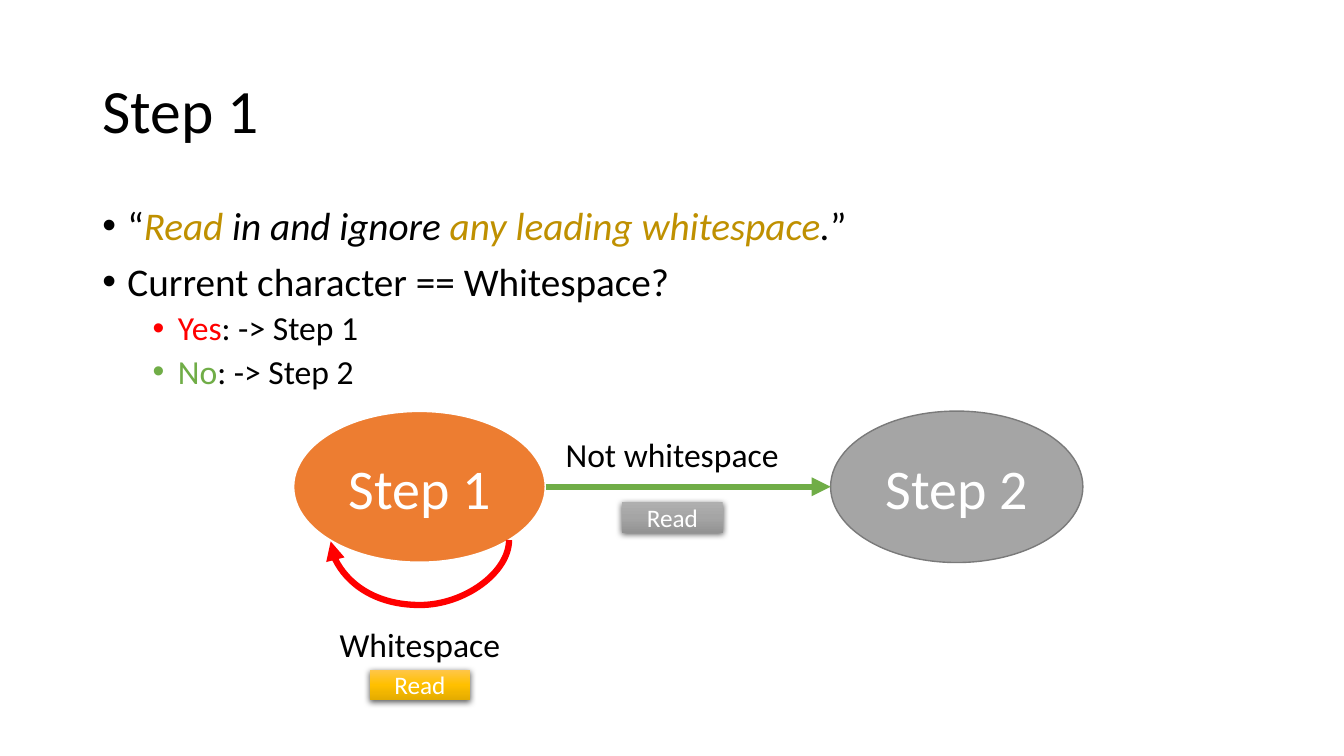
from copy import deepcopy

from pptx import Presentation
from pptx.dml.color import RGBColor
from pptx.enum.shapes import MSO_CONNECTOR, MSO_SHAPE
from pptx.enum.text import MSO_ANCHOR, MSO_AUTO_SIZE, PP_ALIGN
from pptx.oxml.ns import qn
from pptx.oxml.xmlchemy import OxmlElement
from pptx.util import Pt

BLACK = RGBColor(0x00, 0x00, 0x00)
WHITE = RGBColor(0xFF, 0xFF, 0xFF)
RED = RGBColor(0xFF, 0x00, 0x00)
GREEN = RGBColor(0x70, 0xAD, 0x47)
GOLD = RGBColor(0xBF, 0x90, 0x00)
ORANGE = RGBColor(0xED, 0x7D, 0x31)
GRAY = RGBColor(0xA5, 0xA5, 0xA5)
DARK_GRAY = RGBColor(0x7A, 0x7A, 0x7A)
YELLOW_STOPS = [RGBColor(0xFF, 0xC6, 0x4B), RGBColor(0xFF, 0xC0, 0x00), RGBColor(0xE3, 0xAB, 0x00)]
GRAY_STOPS = [RGBColor(0xAF, 0xAF, 0xAF), GRAY, RGBColor(0x93, 0x93, 0x93)]

TITLE = "Step 1"
BULLETS = [
    (0, [("“", BLACK, False), ("Read", GOLD, True), (" in and ignore ", BLACK, True),
         ("any leading whitespace", GOLD, True), (".", BLACK, True), ("”", BLACK, False)]),
    (0, [("Current character == Whitespace?", BLACK, False)]),
    (1, [("Yes", RED, False), (": -> Step 1", BLACK, False)]),
    (1, [("No", GREEN, False), (": -> Step 2", BLACK, False)]),
]
LEVELS = [
    {"size": 28, "margin": 18, "space": 10},
    {"size": 24, "margin": 54, "space": 5},
]
STATES = [
    ("Step 1", 209.5, ORANGE, WHITE, 1.5),
    ("Step 2", 593.3, GRAY, DARK_GRAY, 1),
]
STATE_TOP, STATE_WIDTH, STATE_HEIGHT = 293.6, 180.2, 108.2
LABELS = [
    ("Whitespace", 234.8, 442, 130.2),
    ("Not whitespace", 396, 306.2, 168.2),
]
LABEL_HEIGHT = 36
BUTTONS = [
    ("Read", 264, 478.3, YELLOW_STOPS),
    ("Read", 444.3, 358.6, GRAY_STOPS),
]
BUTTON_WIDTH, BUTTON_HEIGHT = 72, 21.8
LOOP_CENTER = (299.9, 386.2)
LOOP_SPAN, LOOP_DEPTH = 127.4, 46.8


def place(shape, left, top, width, height):
    for name, value in {"left": left, "top": top, "width": width, "height": height}.items():
        setattr(shape, name, Pt(value))


def add_run(paragraph, text, size, color, italic=False):
    run = paragraph.add_run()
    run.text = text
    run.font.color.rgb = color
    for name, value in {"name": "Calibri", "size": Pt(size), "italic": italic}.items():
        setattr(run.font, name, value)


def write_centered(shape, text, size, color, wrap=True):
    frame = shape.text_frame
    frame.word_wrap = wrap
    frame.vertical_anchor = MSO_ANCHOR.MIDDLE
    paragraph = frame.paragraphs[0]
    paragraph.alignment = PP_ALIGN.CENTER
    add_run(paragraph, text, size, color)


def add_element(parent, tag, **attributes):
    element = OxmlElement(tag)
    for name, value in attributes.items():
        element.set(name, str(value))
    parent.append(element)
    return element


def add_arrow(slide, kind, begin, end, color):
    arrow = slide.shapes.add_connector(kind, *[Pt(value) for value in (*begin, *end)])
    arrow.line.color.rgb = color
    arrow.line.width = Pt(4.5)
    add_element(arrow.line._get_or_add_ln(), "a:tailEnd", type="triangle")
    add_element(arrow._element.spPr, "a:effectLst")
    return arrow


def add_title(slide):
    title = slide.shapes.title
    place(title, 66, 28.8, 828, 104.4)
    frame = title.text_frame
    for name, value in {"auto_size": MSO_AUTO_SIZE.NONE, "word_wrap": True,
                        "vertical_anchor": MSO_ANCHOR.MIDDLE}.items():
        setattr(frame, name, value)
    paragraph = frame.paragraphs[0]
    paragraph.alignment = PP_ALIGN.LEFT
    paragraph.line_spacing = 0.9
    add_run(paragraph, TITLE, 44, BLACK)


def add_bullets(slide):
    body = slide.shapes.add_textbox(Pt(66), Pt(143.8), Pt(828), Pt(342.6))
    frame = body.text_frame
    frame.word_wrap = True
    for index, (depth, runs) in enumerate(BULLETS):
        level = LEVELS[depth]
        paragraph = frame.add_paragraph() if index else frame.paragraphs[0]
        properties = paragraph._p.get_or_add_pPr()
        properties.set("marL", str(Pt(level["margin"])))
        properties.set("indent", str(Pt(-18)))
        add_element(properties, "a:buFont", typeface="Arial")
        add_element(properties, "a:buChar", char="•")
        for name, value in {"level": depth, "line_spacing": 0.9,
                            "space_before": Pt(level["space"] if index else 0)}.items():
            setattr(paragraph, name, value)
        for text, color, italic in runs:
            add_run(paragraph, text, level["size"], color, italic)


def add_state(slide, text, left, fill, outline, outline_width):
    state = slide.shapes.add_shape(MSO_SHAPE.OVAL, 0, 0, 0, 0)
    place(state, left, STATE_TOP, STATE_WIDTH, STATE_HEIGHT)
    state.shadow.inherit = False
    state.fill.solid()
    state.fill.fore_color.rgb = fill
    state.line.color.rgb = outline
    state.line.width = Pt(outline_width)
    write_centered(state, text, 40, WHITE)


def add_button(slide, text, left, top, colors):
    button = slide.shapes.add_shape(MSO_SHAPE.RECTANGLE, 0, 0, 0, 0)
    place(button, left, top, BUTTON_WIDTH, BUTTON_HEIGHT)
    button.line.fill.background()
    button.fill.gradient()
    button.fill.gradient_angle = 270
    properties = button._element.spPr
    stop_list = properties.find(".//" + qn("a:gsLst"))
    stop_list.insert(1, deepcopy(stop_list[0]))
    for stop, color, position in zip(button.fill.gradient_stops, colors, (0, 0.5, 1)):
        stop.color.rgb = color
        stop.position = position
    button.shadow.inherit = False
    shadow = add_element(properties.find(qn("a:effectLst")), "a:outerShdw", blurRad=Pt(4.5),
                         dist=Pt(1.5), dir=5400000, algn="ctr", rotWithShape=0)
    shadow_color = add_element(shadow, "a:srgbClr", val=BLACK)
    add_element(shadow_color, "a:alpha", val=63000)
    write_centered(button, text, 18, WHITE)


def add_loop(slide):
    center_x, center_y = LOOP_CENTER
    begin = (center_x - 0.5, center_y - LOOP_SPAN / 2)
    end = (center_x + 0.5, center_y + LOOP_SPAN / 2)
    loop = add_arrow(slide, MSO_CONNECTOR.CURVE, begin, end, RED)
    properties = loop._element.spPr
    properties.find(qn("a:xfrm")).set("rot", "5400000")
    adjustments = properties.find(qn("a:prstGeom")).find(qn("a:avLst"))
    add_element(adjustments, "a:gd", name="adj1", fmla=f"val {round(LOOP_DEPTH * 100000)}")


def main():
    presentation = Presentation()
    presentation.slide_width = Pt(960)
    presentation.slide_height = Pt(540)
    slide = presentation.slides.add_slide(presentation.slide_layouts[5])
    add_title(slide)
    add_bullets(slide)
    for state in STATES:
        add_state(slide, *state)
    add_loop(slide)
    middle = STATE_TOP + STATE_HEIGHT / 2
    first_left, second_left = [state[1] for state in STATES]
    add_arrow(slide, MSO_CONNECTOR.STRAIGHT, (first_left + STATE_WIDTH, middle),
              (second_left, middle), GREEN)
    for text, left, top, width in LABELS:
        label = slide.shapes.add_textbox(Pt(left), Pt(top), Pt(width), Pt(LABEL_HEIGHT))
        write_centered(label, text, 24, BLACK, wrap=False)
    for button in BUTTONS:
        add_button(slide, *button)
    presentation.save("out.pptx")


if __name__ == "__main__":
    main()
